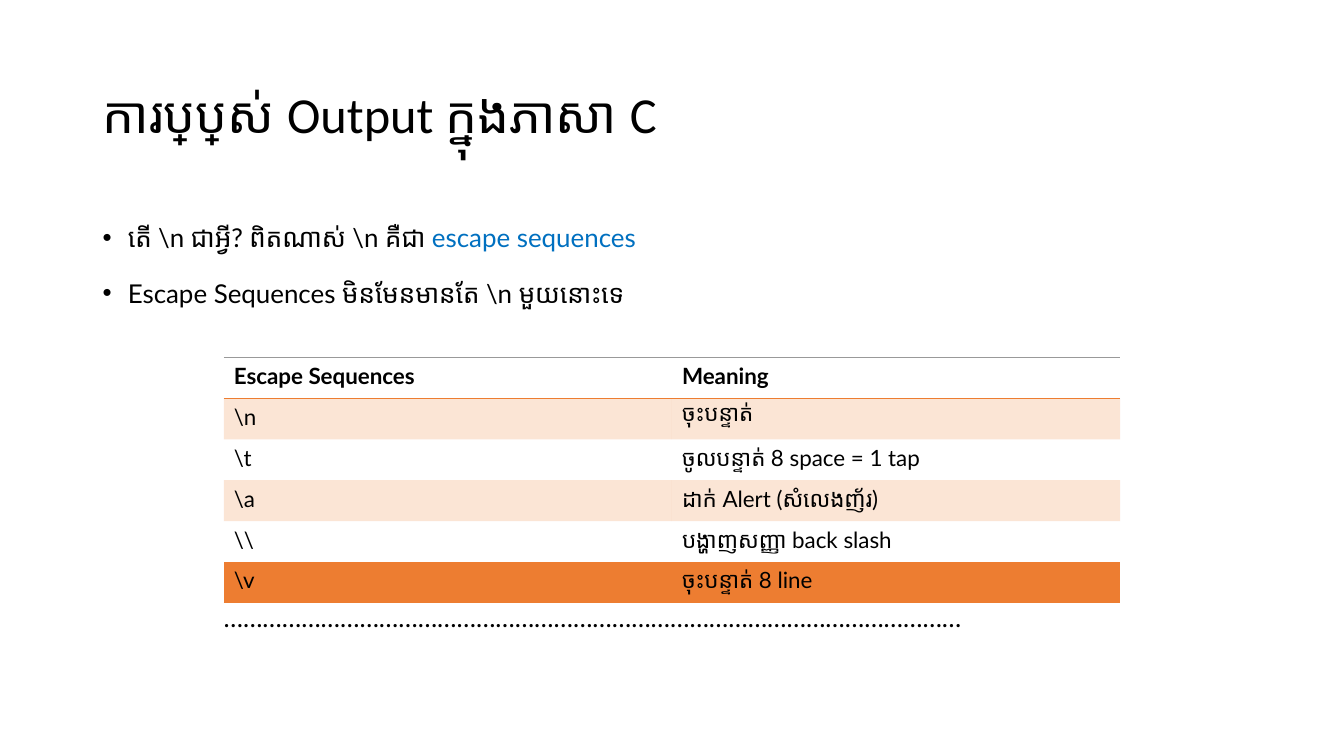
from lxml.etree import SubElement
from pptx import Presentation
from pptx.dml.color import RGBColor
from pptx.enum.text import MSO_ANCHOR
from pptx.oxml.ns import qn
from pptx.util import Inches, Pt

BLACK, BLUE, ORANGE, GREY = "000000", "0070C0", "ED7D31", "999999"
NO_STYLE = "{2D5ABB26-0587-4C30-8999-92F81FD0307C}"
TITLE = "ការប្រើប្រាស់ Output ក្នុងភាសា C"
BULLETS = [
    [("តើ \\n ជាអ្វី? ពិតណាស់ \\n គឺជា ", BLACK), ("escape sequences ", BLUE)],
    [("Escape Sequences មិនមែនមានតែ \\n មួយនោះទេ", BLACK)],
]
ESCAPES = [
    ("Escape Sequences", "Meaning"),
    ("\\n", "ចុះបន្ទាត់"),
    ("\\t", "ចូលបន្ទាត់ 8 space = 1 tap"),
    ("\\a", "ដាក់ Alert (សំលេងញ័រ)"),
    ("\\\\", "បង្ហាញសញ្ញា back slash "),
    ("\\v", "ចុះបន្ទាត់ 8 line"),
]


def color(value):
    """Turn a hex string into a colour."""
    return RGBColor.from_string(value)


def format_run(run, size, font="Lato", fill=BLACK, bold=False):
    """Set the font of one run."""
    run.font.name = font
    run.font.size = Pt(size)
    run.font.bold = bold
    run.font.color.rgb = color(fill)


def add_text_frame(slide, left, top, width, height):
    """Add a wrapping text box and return its text frame."""
    shape = slide.shapes.add_textbox(Inches(left), Inches(top), Inches(width), Inches(height))
    shape.text_frame.word_wrap = True
    return shape.text_frame


def add_line(slide, text, box, size, font="Lato"):
    """Add one vertically centred line of text."""
    text_frame = add_text_frame(slide, *box)
    text_frame.vertical_anchor = MSO_ANCHOR.MIDDLE
    text_frame.text = text
    format_run(text_frame.paragraphs[0].runs[0], size, font)


def add_bullets(slide, bullets, box):
    """Add the bulleted statements with their coloured runs."""
    text_frame = add_text_frame(slide, *box)
    for index, parts in enumerate(bullets):
        paragraph = text_frame.paragraphs[0] if index == 0 else text_frame.add_paragraph()
        paragraph.line_spacing = 1.5
        paragraph.space_before = Pt(6 if index else 0)
        properties = paragraph._p.get_or_add_pPr()
        properties.set("marL", str(Inches(0.25)))
        properties.set("indent", str(Inches(-0.25)))
        SubElement(properties, qn("a:buFont"), typeface="Arial")
        SubElement(properties, qn("a:buChar"), char="•")
        for text, fill in parts:
            run = paragraph.add_run()
            run.text = text
            format_run(run, 18.5, fill=fill)


def add_border(cell, side, fill):
    """Draw a one-point border on one side of a cell."""
    properties = cell._tc.get_or_add_tcPr()
    line = SubElement(properties, qn(f"a:{side}"), w=str(Pt(1)))
    solid = SubElement(line, qn("a:solidFill"))
    SubElement(solid, qn("a:srgbClr"), val=fill)


def fill_band(cell):
    """Fill a cell with transparent orange."""
    cell.fill.solid()
    cell.fill.fore_color.rgb = color(ORANGE)
    tone = cell._tc.tcPr.find(f".//{qn('a:solidFill')}/{qn('a:srgbClr')}")
    SubElement(tone, qn("a:alpha"), val="20000")


def add_escape_table(slide, rows, box):
    """Add the banded table of escape sequences."""
    left, top, width, height = box
    shape = slide.shapes.add_table(
        len(rows), len(rows[0]), Inches(left), Inches(top), Inches(width), Inches(height))
    table = shape.table
    table._tbl.tblPr.find(qn("a:tableStyleId")).text = NO_STYLE
    last = len(rows) - 1
    for row_index, texts in enumerate(rows):
        for column_index, text in enumerate(texts):
            cell = table.cell(row_index, column_index)
            cell.text_frame.text = text
            format_run(cell.text_frame.paragraphs[0].runs[0], 16, bold=row_index == 0)
            if row_index == 0:
                add_border(cell, "lnT", GREY)
            if row_index in (0, last):
                add_border(cell, "lnB", ORANGE)
            if row_index % 2:
                fill_band(cell)
            else:
                cell.fill.background()


def build_slide(presentation):
    """Build the slide on escape sequences."""
    slide = presentation.slides.add_slide(presentation.slide_layouts[6])
    add_line(slide, TITLE, (0.92, 0.4, 11.5, 1.45), 36, "Calibri")
    add_bullets(slide, BULLETS, (0.92, 2, 11.5, 1.3))
    add_escape_table(slide, ESCAPES, (2.22, 3.55, 8.89, 2.43))
    add_line(slide, "…" * 38, (2.12, 5.92, 9, 0.41), 18.5)


presentation = Presentation()
presentation.slide_width = Inches(13.33)
presentation.slide_height = Inches(7.5)
build_slide(presentation)
presentation.save("out.pptx")
